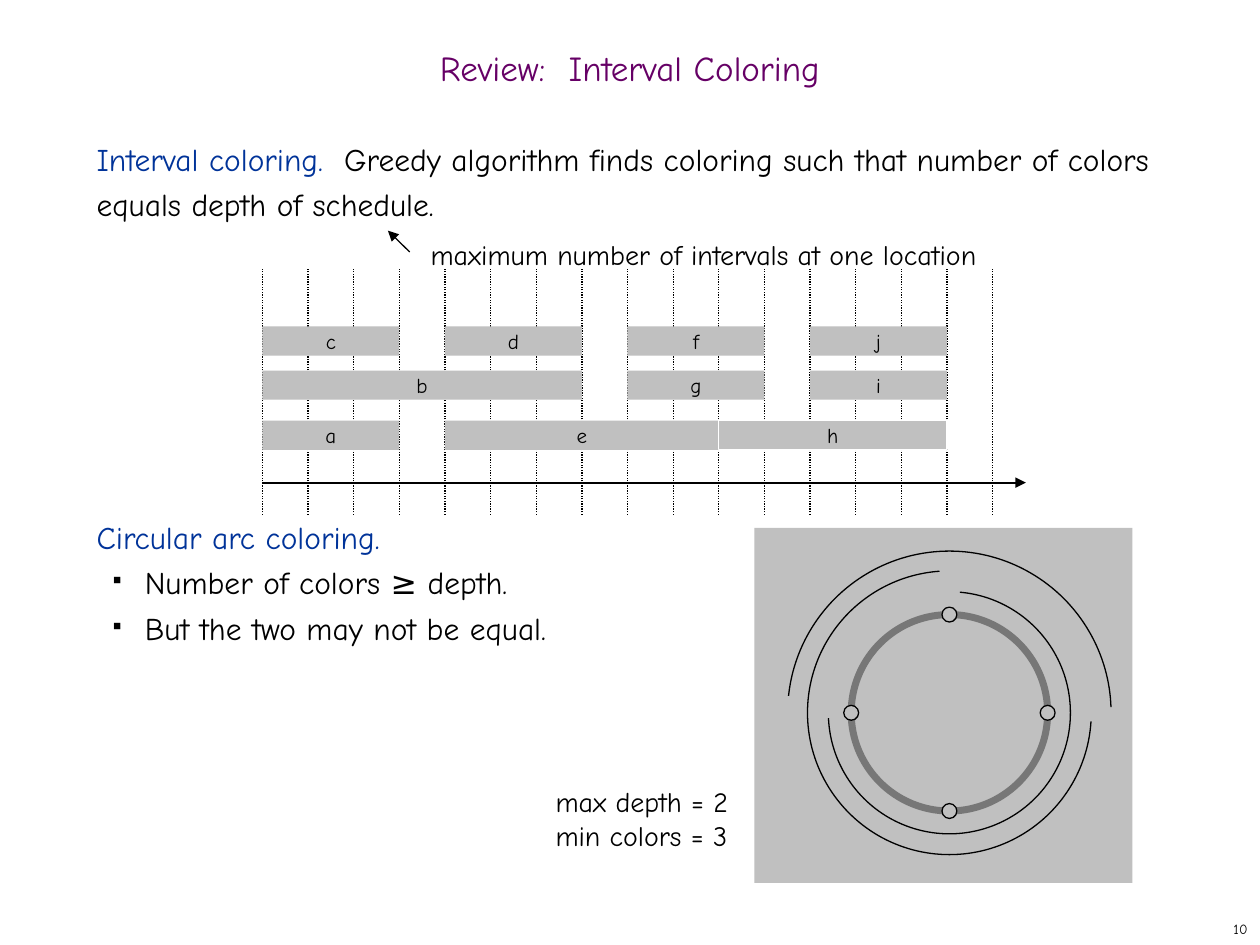
from lxml import etree
from pptx import Presentation
from pptx import util as u
from pptx.dml.color import RGBColor
from pptx.enum import dml, shapes, text
from pptx.oxml.ns import qn

THEME = {
    "font": "Comic Neue",
    "title": "660066", "term": "003399", "ink": "000000",
    "panel": "C0C0C0", "ring": "777777", "paper": "FFFFFF",
    "title_size": 20, "body_size": 18, "note_size": 16,
    "label_size": 12, "number_size": 8,
    "thin": 0.75, "axis": 1.25, "thick": 4,
}

TITLE = "Review:  Interval Coloring"
INTRO = [("Interval coloring.  ", "term"),
         ("Greedy algorithm finds coloring such that number of colors "
          "equals depth of schedule.", "ink")]
ARC_HEADING = [("Circular arc coloring.", "term")]
ARC_POINTS = ["Number of colors ≥ depth.", "But the two may not be equal."]
DEPTH_NOTE = "maximum number of intervals at one location"
RESULT = ["max depth = 2", "min colors = 3"]
PAGE_NUMBER = "10"

# Each row: top in cm, then (name, start tick, end tick)
INTERVAL_ROWS = [
    (6.58, [("c", 0, 3), ("d", 4, 7), ("f", 8, 11), ("j", 12, 15)]),
    (7.47, [("b", 0, 7), ("g", 8, 11), ("i", 12, 15)]),
    (8.48, [("a", 0, 3), ("e", 4, 10), ("h", 10, 15)]),
]
TICKS, TICK_LEFT, TICK_GAP = 17, 5.29, 0.92
TICK_TOP, TICK_BOTTOM, AXIS_Y, AXIS_END = 5.4, 10.38, 9.73, 20.68
BAR_HEIGHT = 0.59

# Radius in cm, start and end in degrees clockwise from the right
CENTER = (19.14, 14.37)
ARCS = [(3.26, 186, 358), (2.86, 3.5, 266), (2.44, 275, 177.5)]
RING_RADIUS, NODE_RADIUS = 1.98, 0.15
NODE_DIRECTIONS = [(0, -1), (0, 1), (1, 0), (-1, 0)]


def color(name):
    return RGBColor.from_string(THEME[name])


def set_font(font, size, ink="ink"):
    font.name, font.size = THEME["font"], u.Pt(THEME[size])
    font.color.rgb = color(ink)


def add_box(page, left, top, width, height, wrap=True):
    frame = page.shapes.add_textbox(*map(u.Cm, (left, top, width, height))).text_frame
    frame.word_wrap = wrap
    return frame


def write(frame, lines, size, ink="ink", align=text.PP_ALIGN.LEFT):
    frame.text = "\n".join(lines)
    for para in frame.paragraphs:
        para.alignment = align
        set_font(para.font, size, ink)


def write_spans(para, spans):
    para.line_spacing = u.Pt(26)
    for words, ink in spans:
        span = para.add_run()
        span.text = words
        set_font(span.font, "body_size", ink)


def add_bullet(para):
    props = para._p.get_or_add_pPr()
    props.set("marL", str(u.Cm(0.97)))
    props.set("indent", str(u.Cm(-0.64)))
    etree.SubElement(props, qn("a:buSzPct")).set("val", "35000")
    etree.SubElement(props, qn("a:buChar")).set("char", "■")


def add_figure(page, kind, left, top, width, height, fill=None, line=None, weight="thin"):
    figure = page.shapes.add_shape(kind, *map(u.Cm, (left, top, width, height)))
    figure.shadow.inherit = False
    if fill:
        figure.fill.solid()
        figure.fill.fore_color.rgb = color(fill)
    else:
        figure.fill.background()
    if line:
        figure.line.color.rgb = color(line)
        figure.line.width = u.Pt(THEME[weight])
    else:
        figure.line.fill.background()
    return figure


def add_round(page, kind, center, radius, **style):
    x, y = center
    return add_figure(page, kind, x - radius, y - radius, 2 * radius, 2 * radius, **style)


def add_line(page, x1, y1, x2, y2, weight="thin", arrow=False, dotted=False):
    line = page.shapes.add_connector(shapes.MSO_CONNECTOR.STRAIGHT,
                                     *map(u.Cm, (x1, y1, x2, y2)))
    line.line.color.rgb = color("ink")
    line.line.width = u.Pt(THEME[weight])
    if dotted:
        line.line.dash_style = dml.MSO_LINE.ROUND_DOT
    if arrow:
        etree.SubElement(line.line._get_or_add_ln(), qn("a:tailEnd")).set("type", "triangle")
    etree.SubElement(line._element.spPr, qn("a:effectLst"))


def add_words(page):
    title = add_box(page, 0, 0.84, 25.4, 1.27)
    title.vertical_anchor = text.MSO_ANCHOR.MIDDLE
    write(title, [TITLE], "title_size", "title", text.PP_ALIGN.CENTER)
    title.paragraphs[0].line_spacing = 0.7

    write_spans(add_box(page, 1.7, 2.54, 21.79, 2.2).paragraphs[0], INTRO)
    body = add_box(page, 1.7, 10.16, 13, 3.1)
    write_spans(body.paragraphs[0], ARC_HEADING)
    for point in ARC_POINTS:
        para = body.add_paragraph()
        write_spans(para, [(point, "ink")])
        add_bullet(para)

    number = add_box(page, 20.12, 18.42, 5.28, 0.63)
    number.vertical_anchor = text.MSO_ANCHOR.MIDDLE
    write(number, [PAGE_NUMBER], "number_size", align=text.PP_ALIGN.RIGHT)


def add_schedule(page):
    for tick in range(TICKS):
        x = TICK_LEFT + tick * TICK_GAP
        add_line(page, x, TICK_BOTTOM, x, TICK_TOP, dotted=True)
    add_line(page, TICK_LEFT, AXIS_Y, AXIS_END, AXIS_Y, weight="axis", arrow=True)
    for top, intervals in INTERVAL_ROWS:
        for name, start, end in intervals:
            bar = add_figure(page, shapes.MSO_SHAPE.RECTANGLE,
                             TICK_LEFT + start * TICK_GAP, top,
                             (end - start) * TICK_GAP, BAR_HEIGHT, fill="panel",
                             line="paper" if name == "h" else None)
            bar.text_frame.word_wrap = False
            bar.text_frame.vertical_anchor = text.MSO_ANCHOR.MIDDLE
            write(bar.text_frame, [name], "label_size", align=text.PP_ALIGN.CENTER)
    add_line(page, 8.26, 5.08, 7.82, 4.65, arrow=True)
    write(add_box(page, 8.43, 4.67, 12.34, 0.94, wrap=False), [DEPTH_NOTE], "note_size")


def add_circle_diagram(page):
    add_figure(page, shapes.MSO_SHAPE.RECTANGLE, 15.21, 10.64, 7.62, 7.16, fill="panel")
    add_round(page, shapes.MSO_SHAPE.OVAL, CENTER, RING_RADIUS, line="ring", weight="thick")
    for dx, dy in NODE_DIRECTIONS:
        spot = (CENTER[0] + dx * RING_RADIUS, CENTER[1] + dy * RING_RADIUS)
        add_round(page, shapes.MSO_SHAPE.OVAL, spot, NODE_RADIUS, fill="panel", line="ink")
    for radius, start, end in ARCS:
        arc = add_round(page, shapes.MSO_SHAPE.ARC, CENTER, radius, line="ink")
        # Angles are stored in 1/60000 degree, adjustments in 1/100000
        arc.adjustments[0], arc.adjustments[1] = start * 0.6, end * 0.6
    write(add_box(page, 10.95, 15.7, 4.27, 1.63, wrap=False), RESULT, "note_size")


def main():
    deck = Presentation()
    deck.slide_width, deck.slide_height = u.Cm(25.4), u.Cm(19.05)
    page = deck.slides.add_slide(deck.slide_layouts[6])
    add_words(page)
    add_schedule(page)
    add_circle_diagram(page)
    deck.save("out.pptx")


if __name__ == "__main__":
    main()
